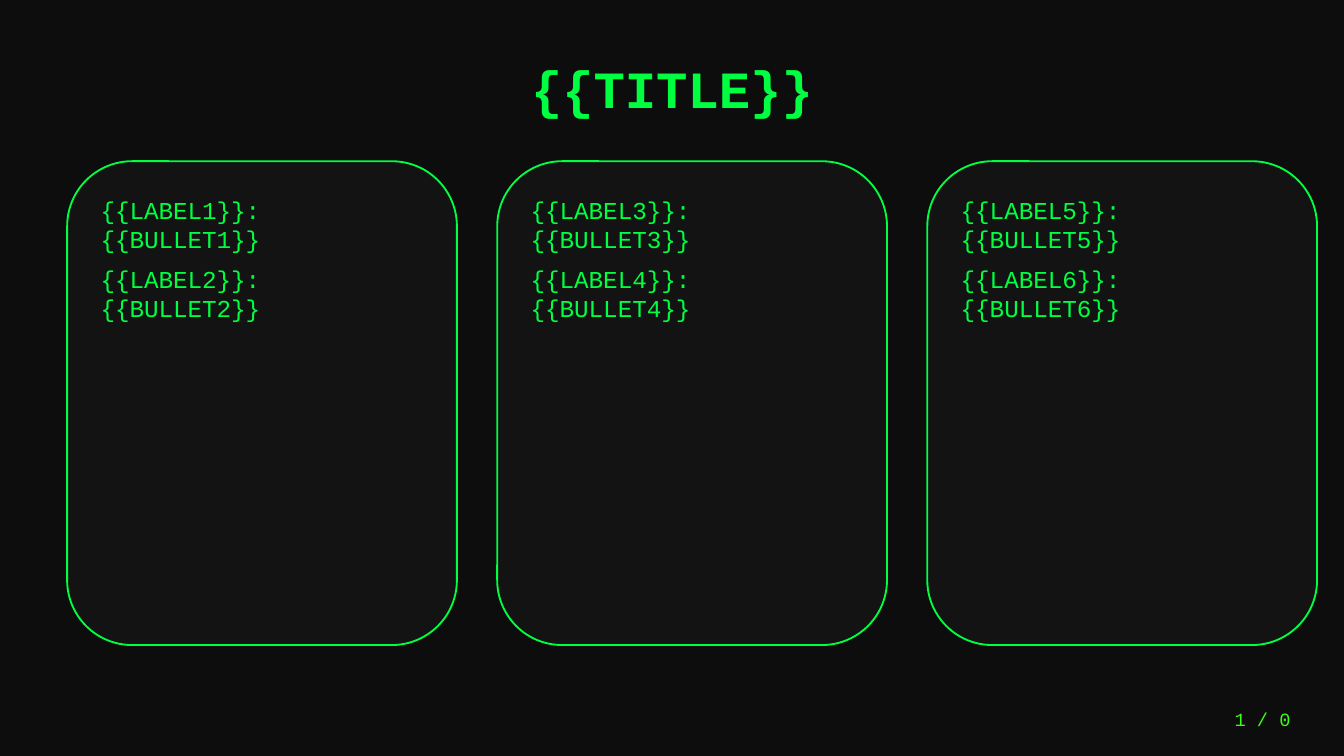
import pptx
import pptx.dml.color
import pptx.enum.shapes
import pptx.enum.text
import pptx.oxml.ns
import pptx.util
from lxml import etree

Inches = pptx.util.Inches
Pt = pptx.util.Pt
ALIGN = pptx.enum.text.PP_ALIGN
ANCHOR = pptx.enum.text.MSO_ANCHOR

COLORS = {"background": "0D0D0D", "card": "141414", "green": "00FF41", "page": "39FF14"}
FONT = "Courier New"


def rgb(name):
    return pptx.dml.color.RGBColor.from_string(COLORS[name])


def add_text(s, box, lines, size, color, align=ALIGN.LEFT, anchor=ANCHOR.TOP, bold=False, after=0):
    tf = s.shapes.add_textbox(*map(Inches, box)).text_frame
    tf.word_wrap = True
    tf.vertical_anchor = anchor
    tf.text = "\n".join(lines)
    for p in tf.paragraphs:
        p.alignment = align
        p.space_after = Pt(after)
        for r in p.runs:
            r.font.name = FONT
            r.font.size = Pt(size)
            r.font.bold = bold
            r.font.color.rgb = rgb(color)


def add_title(s, box):
    add_text(s, box, ["{{TITLE}}"], 28, "green", ALIGN.CENTER, ANCHOR.MIDDLE, bold=True)


def add_card(s, box, numbers):
    x, y, w, h = box
    sp = s.shapes.add_shape(pptx.enum.shapes.MSO_SHAPE.ROUNDED_RECTANGLE, *map(Inches, box))
    sp.shadow.inherit = False
    sp.fill.solid()
    sp.fill.fore_color.rgb = rgb("card")
    qn = pptx.oxml.ns.qn
    color = sp.element.spPr.find(qn("a:solidFill")).find(qn("a:srgbClr"))
    etree.SubElement(color, qn("a:alpha"), val="90000")
    sp.line.color.rgb = rgb("green")
    sp.line.width = Pt(1)
    lines = [f"{{{{LABEL{n}}}}}: {{{{BULLET{n}}}}}" for n in numbers]
    add_text(s, (x + 0.15, y + 0.2, w - 0.3, h - 0.4), lines, 13, "green", after=6)


def add_page_number(s, box):
    add_text(s, box, ["1 / 0"], 10, "page", ALIGN.RIGHT, ANCHOR.MIDDLE)


def main():
    prs = pptx.Presentation()
    prs.slide_width = Inches(10)
    prs.slide_height = Inches(10 * 9 / 16)
    s = prs.slides.add_slide(prs.slide_layouts[6])
    s.background.fill.solid()
    s.background.fill.fore_color.rgb = rgb("background")

    add_title(s, (0.5, 0.3, 9, 0.7))
    width, gap = 2.9, 0.3
    for i in range(3):
        add_card(s, (0.5 + i * (width + gap), 1.2, width, 3.6), (2 * i + 1, 2 * i + 2))
    add_page_number(s, (8.5, 5.2, 1.2, 0.3))
    prs.save("out.pptx")


if __name__ == "__main__":
    main()
